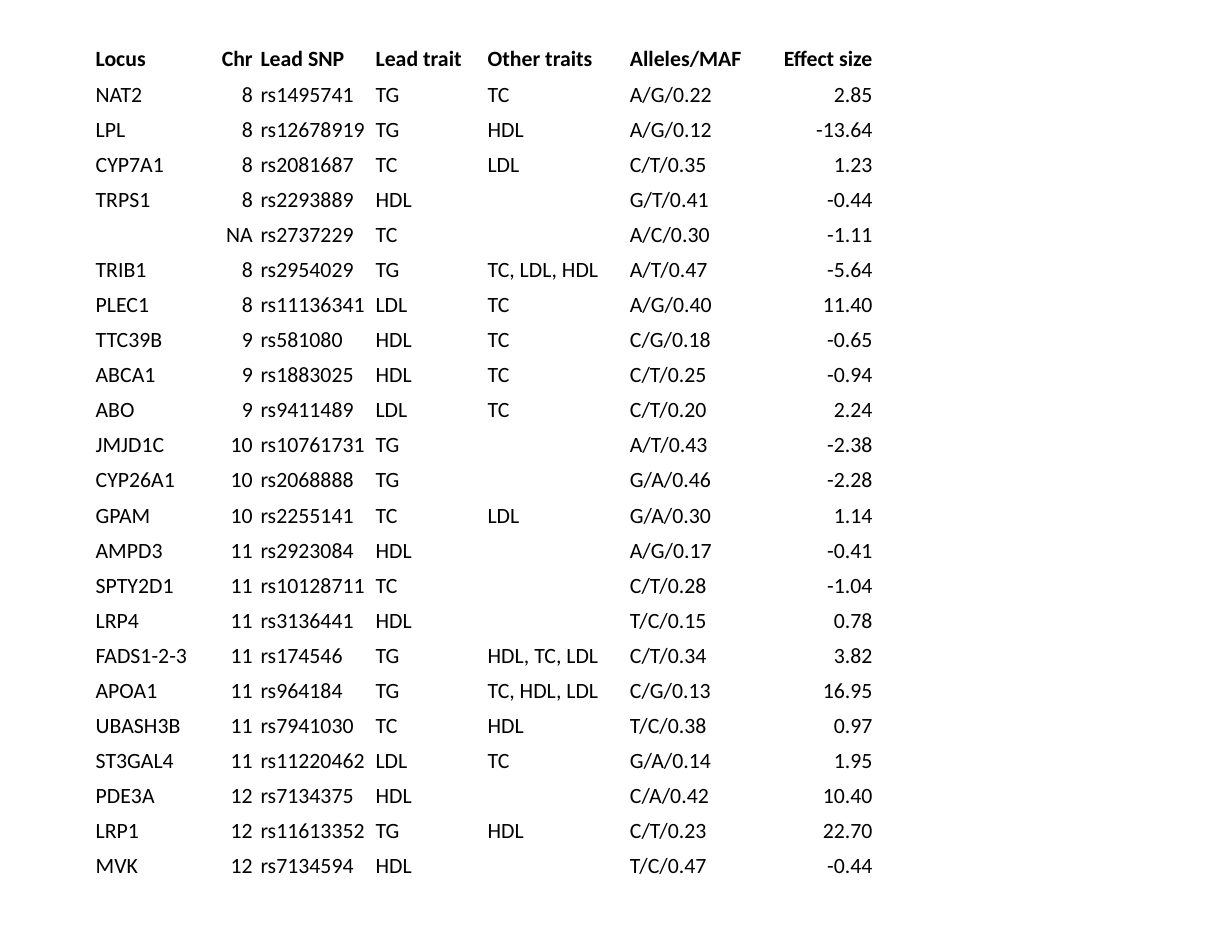
from pptx import Presentation
from pptx.dml.color import RGBColor
from pptx.enum.text import PP_ALIGN
from pptx.util import Pt

LEFT, RIGHT = PP_ALIGN.LEFT, PP_ALIGN.RIGHT
COLORS = {"text": "000000"}

# width, alignment, left margin, right margin
COLS = [
    (70.5, LEFT, 1.5, 0),
    (34, RIGHT, 0, 2),
    (73.5, LEFT, 3, 0),
    (72, LEFT, 3.5, 0),
    (91.5, LEFT, 3.5, 0),
    (87, LEFT, 3.5, 0),
    (72.5, RIGHT, 0, 0),
]

ROWS = [
    ("Locus", "Chr", "Lead SNP", "Lead trait", "Other traits", "Alleles/MAF", "Effect size"),
    ("NAT2", "8", "rs1495741", "TG", "TC", "A/G/0.22", "2.85"),
    ("LPL", "8", "rs12678919", "TG", "HDL", "A/G/0.12", "-13.64"),
    ("CYP7A1", "8", "rs2081687", "TC", "LDL", "C/T/0.35", "1.23"),
    ("TRPS1", "8", "rs2293889", "HDL", "", "G/T/0.41", "-0.44"),
    ("", "NA", "rs2737229", "TC", "", "A/C/0.30", "-1.11"),
    ("TRIB1", "8", "rs2954029", "TG", "TC, LDL, HDL", "A/T/0.47", "-5.64"),
    ("PLEC1", "8", "rs11136341", "LDL", "TC", "A/G/0.40", "11.40"),
    ("TTC39B", "9", "rs581080", "HDL", "TC", "C/G/0.18", "-0.65"),
    ("ABCA1", "9", "rs1883025", "HDL", "TC", "C/T/0.25", "-0.94"),
    ("ABO", "9", "rs9411489", "LDL", "TC", "C/T/0.20", "2.24"),
    ("JMJD1C", "10", "rs10761731", "TG", "", "A/T/0.43", "-2.38"),
    ("CYP26A1", "10", "rs2068888", "TG", "", "G/A/0.46", "-2.28"),
    ("GPAM", "10", "rs2255141", "TC", "LDL", "G/A/0.30", "1.14"),
    ("AMPD3", "11", "rs2923084", "HDL", "", "A/G/0.17", "-0.41"),
    ("SPTY2D1", "11", "rs10128711", "TC", "", "C/T/0.28", "-1.04"),
    ("LRP4", "11", "rs3136441", "HDL", "", "T/C/0.15", "0.78"),
    ("FADS1-2-3", "11", "rs174546", "TG", "HDL, TC, LDL", "C/T/0.34", "3.82"),
    ("APOA1", "11", "rs964184", "TG", "TC, HDL, LDL", "C/G/0.13", "16.95"),
    ("UBASH3B", "11", "rs7941030", "TC", "HDL", "T/C/0.38", "0.97"),
    ("ST3GAL4", "11", "rs11220462", "LDL", "TC", "G/A/0.14", "1.95"),
    ("PDE3A", "12", "rs7134375", "HDL", "", "C/A/0.42", "10.40"),
    ("LRP1", "12", "rs11613352", "TG", "HDL", "C/T/0.23", "22.70"),
    ("MVK", "12", "rs7134594", "HDL", "", "T/C/0.47", "-0.44"),
]
last = len(ROWS) - 1
heights = [23 if i in (0, last) else 22.55 for i in range(len(ROWS))]

prs = Presentation()
prs.slide_width, prs.slide_height = Pt(792), Pt(612)
slide = prs.slides.add_slide(prs.slide_layouts[6])

width = sum(col[0] for col in COLS)
frame = slide.shapes.add_table(len(ROWS), len(COLS), Pt(60), Pt(29.5),
                               Pt(width), Pt(sum(heights)))
table = frame.table
table.first_row = table.horz_banding = False
for col, fmt in zip(table.columns, COLS):
    col.width = Pt(fmt[0])

for r, (row, height) in enumerate(zip(ROWS, heights)):
    table.rows[r].height = Pt(height)
    style = {"name": "Calibri", "size": Pt(14), "bold": r == 0}
    for c, (text, (_, align, left, right)) in enumerate(zip(row, COLS)):
        cell = table.cell(r, c)
        cell.fill.background()
        cell.margin_top = cell.margin_bottom = 0
        cell.margin_left, cell.margin_right = Pt(left), Pt(right)
        if not text:
            continue
        para = cell.text_frame.paragraphs[0]
        para.alignment = align
        run = para.add_run()
        run.text = text
        for key, value in style.items():
            setattr(run.font, key, value)
        run.font.color.rgb = RGBColor.from_string(COLORS["text"])

prs.save("out.pptx")
